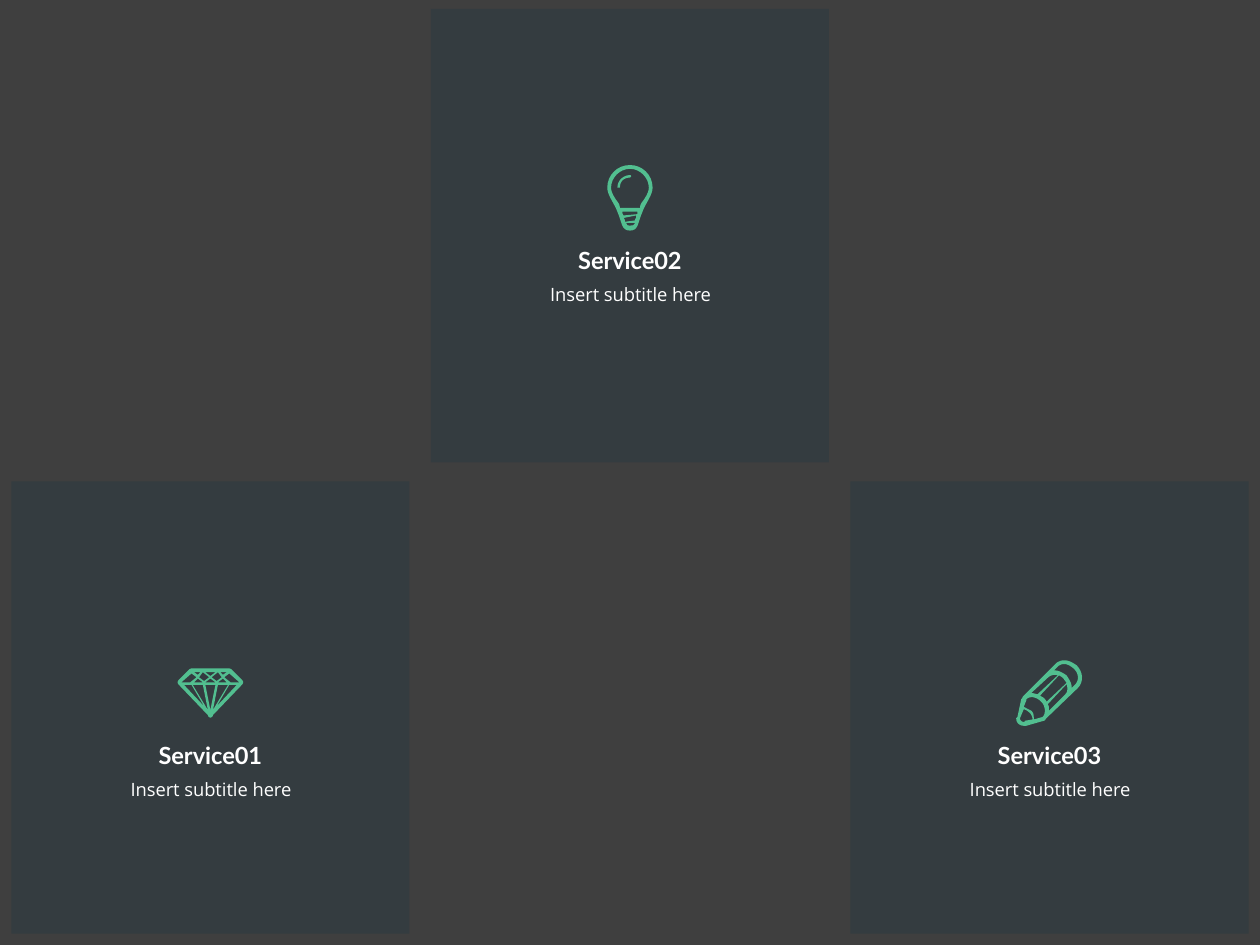
from lxml.etree import SubElement
from pptx import Presentation
from pptx.dml.color import RGBColor
from pptx.enum.shapes import MSO_SHAPE as Preset
from pptx.enum.text import MSO_AUTO_SIZE as AutoSize, PP_ALIGN as Align
from pptx.oxml.ns import qn
from pptx.util import Inches, Pt

BACKDROP, PANEL, ACCENT, WHITE = "3F3F3F", "313C41", "52BF90", "FFFFFF"
CURVE_STEPS = 8
CARD_WIDTH = 3.16
COLUMN_LEFT, COLUMN_PITCH = 0.09, 3.33
TITLE_FORMAT = {"name": "Lato", "size": Pt(13.5), "bold": True}
SUBTITLE_FORMAT = {"name": "Open Sans", "size": Pt(10.5)}

# Outlines are in hundredths of an inch: "x,y" is a corner, six numbers a curve.
DIAMOND = {"size": (0.52, 0.39), "layers": [[
    "51,9 43,1 42,0,41,0,41,0 11,0 11,0,10,0,9,1 1,9 1,9,0,10,0,11 0,12,1,13,1,13 "
    "24,37 24,38,25,39,26,39 27,39,28,38,28,37 51,13 51,13,52,12,52,11 52,10,51,9,51,9",
    "30,11 22,11 26,8",
    "27,7 32,3 35,7 31,10",
    "21,10 17,7 20,3 25,7",
    "30,13 26,33 22,13",
    "32,13 40,13 28,33",
    "32,11 36,8 39,11",
    "34,3 39,3 36,5",
    "26,6 22,3 30,3",
    "16,5 13,3 18,3",
    "16,8 20,11 13,11",
    "20,13 24,33 12,13",
    "21,30 5,13 11,13",
    "41,13 47,13 31,30",
    "42,11 37,7 41,4 49,11",
    "11,4 15,7 10,11 3,11",
]]}
BULB = {"size": (0.36, 0.52), "layers": [[
    "18,0 8,0,0,8,0,18 0,24,6,31,8,37 12,46,11,52,18,52 25,52,24,46,28,37 "
    "30,31,36,24,36,18 36,8,28,0,18,0",
    "22,44 14,45 14,44,14,43,13,42 23,40 23,41,23,42,23,42 22,43,22,43,22,44",
    "13,40 12,39,12,38,12,37 24,37 24,38,24,38,24,39",
    "18,48 16,48,16,48,15,46 22,46 21,48,20,48,18,48",
    "26,34 10,34 10,32,9,30,8,29 5,25,3,21,3,18 3,10,10,3,18,3 "
    "26,3,33,10,33,18 33,21,31,25,28,29 27,30,26,32,26,34",
], [
    "18,8 13,8,8,12,8,18 8,18,9,18,9,18 9,18,10,18,10,18 10,13,13,10,18,10 "
    "18,10,19,9,19,9 19,8,18,8,18,8",
]]}
PENCIL = {"size": (0.53, 0.52), "layers": [[
    "48,4 45,2,42,0,38,0 36,0,33,1,31,3 23,11 6,28 5,29,5,30,4,31 1,45 "
    "1,45,0,46,0,46 0,50,3,52,6,52 7,52,8,52,8,52 22,48 23,48,23,47,24,46 "
    "49,22 54,17,53,9,48,4",
    "26,39 26,37,26,36,25,35 40,19 41,22,41,25,39,27 26,40",
    "24,33 24,32,23,31,22,30 21,29,20,29,19,28 34,12 36,13,37,14,38,15 38,16,39,16,40,18",
    "17,27 16,27,14,26,12,26 25,14 27,12,30,11,33,12",
    "7,48 7,49,6,49,6,49 5,49,3,48,3,46 6,39 7,39,9,40,11,42 12,43,13,45,13,47",
    "14,47 14,44,14,42,12,40 10,39,8,38,6,37 8,32 8,31 11,28,16,29,20,33 23,36,24,42,21,45",
    "47,19 44,22 44,22,44,21,44,21 44,18,42,15,40,12 37,10,34,8,30,8 33,5 "
    "34,4,36,3,38,3 41,3,44,5,46,7 48,9,49,11,49,14 49,16,48,18,47,19",
]]}

SERVICES = [
    {"title": "Service01", "icon": DIAMOND, "top": 3.82, "height": 3.59, "title_drop": 2.01},
    {"title": "Service02", "icon": BULB, "top": 0.07, "height": 3.6, "title_drop": 1.83},
    {"title": "Service03", "icon": PENCIL, "top": 3.82, "height": 3.59, "title_drop": 2.01},
]


def paint(fill, color):
    fill.solid()
    fill.fore_color.rgb = RGBColor.from_string(color)


def strip_effects(shape):
    shape.line.fill.background()
    shape.shadow.inherit = False


def trace(outline):
    points = []
    for segment in outline.split():
        numbers = [float(number) for number in segment.split(",")]
        if len(numbers) == 2:
            points.append(tuple(numbers))
            continue
        start = points[-1]
        for step in range(1, CURVE_STEPS + 1):
            t = step / CURVE_STEPS
            points.append(tuple(
                (1 - t) ** 3 * start[axis] + 3 * (1 - t) ** 2 * t * numbers[axis]
                + 3 * (1 - t) * t ** 2 * numbers[axis + 2] + t ** 3 * numbers[axis + 4]
                for axis in (0, 1)))
    return [(Inches(x / 100), Inches(y / 100)) for x, y in points]


def add_icon(slide, icon, center_x, center_y):
    width, height = icon["size"]
    layers = icon["layers"]
    shapes = slide.shapes.add_group_shape().shapes if len(layers) > 1 else slide.shapes
    for outlines in layers:
        contours = [trace(outline) for outline in outlines]
        builder = shapes.build_freeform(*contours[0][0])
        for index, contour in enumerate(contours):
            if index:
                builder.move_to(*contour[0])
            builder.add_line_segments(contour[1:], close=True)
        symbol = builder.convert_to_shape(
            Inches(center_x - width / 2), Inches(center_y - height / 2))
        paint(symbol.fill, ACCENT)
        strip_effects(symbol)


def add_label(slide, text, box, font_format, wrap, spacing):
    label = slide.shapes.add_textbox(*(Inches(length) for length in box))
    frame = label.text_frame
    frame.word_wrap = wrap
    frame.auto_size = AutoSize.SHAPE_TO_FIT_TEXT
    paragraph = frame.paragraphs[0]
    paragraph.alignment = Align.CENTER
    paragraph.line_spacing = spacing
    run = paragraph.add_run()
    run.text = text
    for attribute, value in font_format.items():
        setattr(run.font, attribute, value)
    paint(run.font.fill, WHITE)


def add_service_card(slide, service, left):
    top = service["top"]
    center = left + CARD_WIDTH / 2
    title_top = top + service["title_drop"]
    panel = slide.shapes.add_shape(
        Preset.RECTANGLE, Inches(left), Inches(top), Inches(CARD_WIDTH), Inches(service["height"]))
    paint(panel.fill, PANEL)
    panel_color = panel.fill._xPr.find(qn("a:solidFill"))[0]
    SubElement(panel_color, qn("a:alpha"), val="75000")
    strip_effects(panel)
    add_label(slide, service["title"], (center - 0.52, title_top, 1.04, 0.33),
              TITLE_FORMAT, False, None)
    add_label(slide, "Insert subtitle here", (center - 1.02, title_top + 0.21, 2.05, 0.37),
              SUBTITLE_FORMAT, True, 1.5)
    add_icon(slide, service["icon"], center, title_top - 0.33)


def main():
    deck = Presentation()
    deck.slide_width, deck.slide_height = Inches(10), Inches(7.5)
    slide = deck.slides.add_slide(deck.slide_layouts[6])
    paint(slide.background.fill, BACKDROP)
    for column, service in enumerate(SERVICES):
        add_service_card(slide, service, COLUMN_LEFT + column * COLUMN_PITCH)
    deck.save("out.pptx")


if __name__ == "__main__":
    main()
